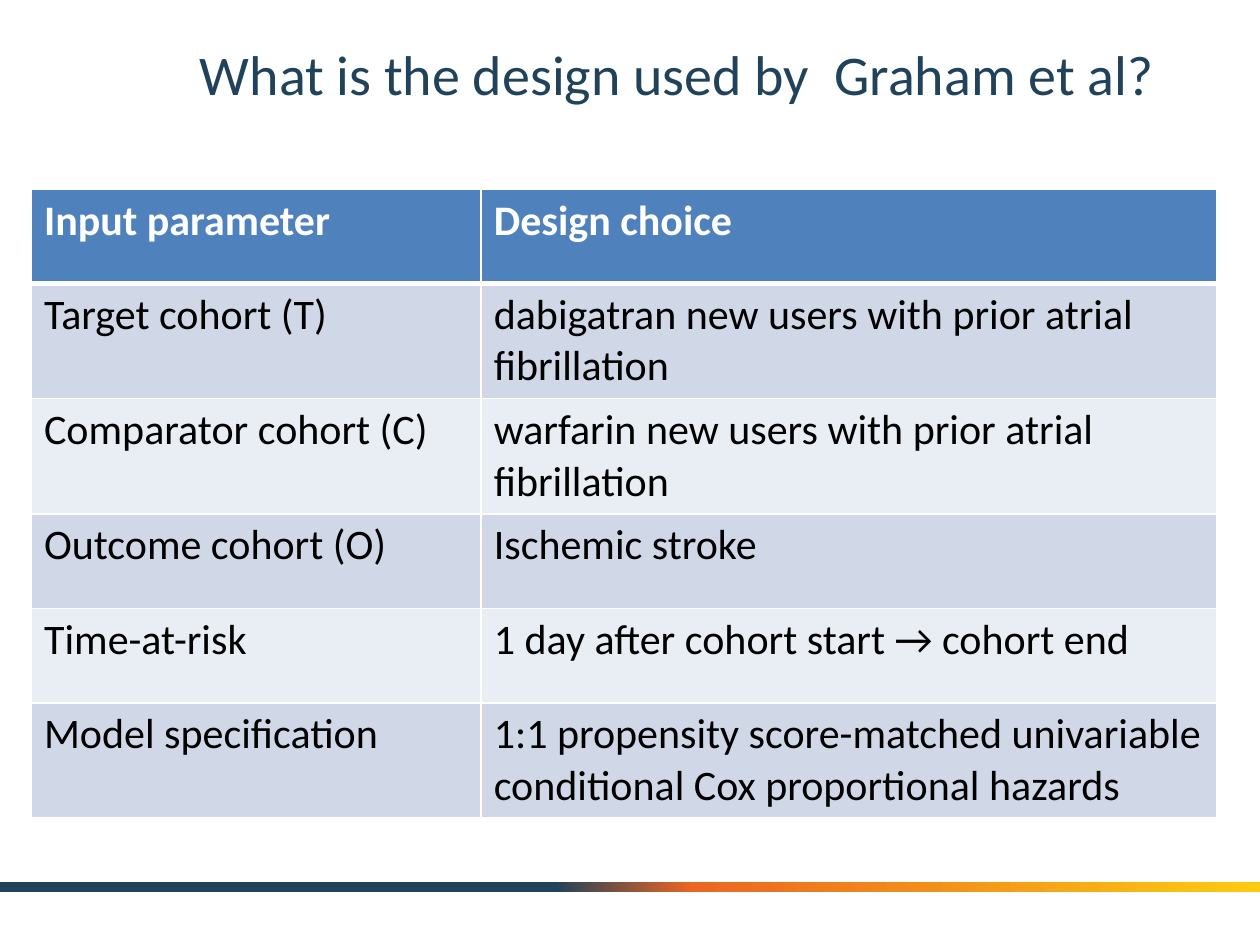
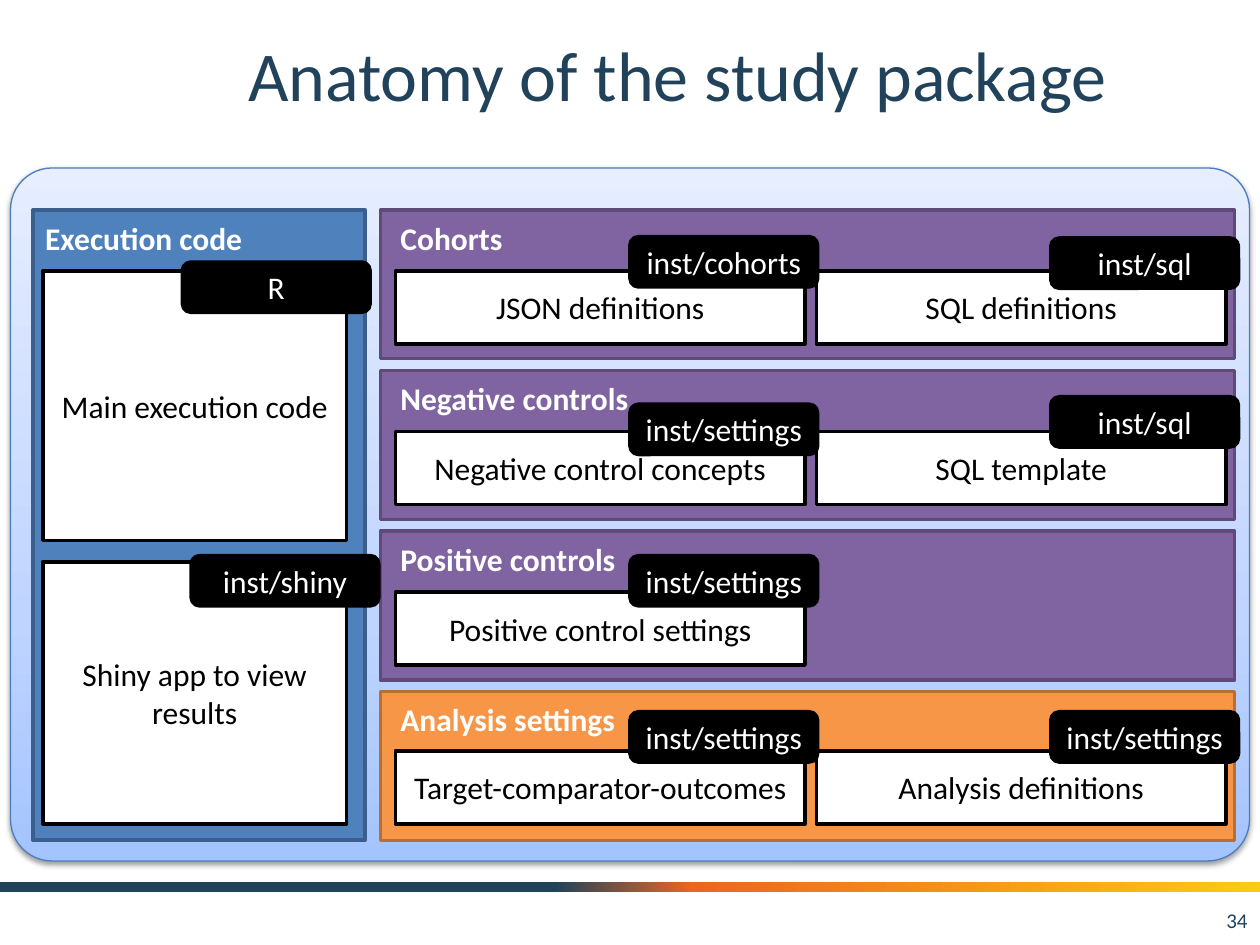
from dataclasses import dataclass
from typing import Any, Optional

from lxml import etree
from pptx import Presentation
from pptx.dml.color import RGBColor
from pptx.enum import shapes, text
from pptx.oxml.ns import qn
from pptx.util import Pt

FONT = "Calibri"
NAVY, WHITE, BLACK = "20425A", "FFFFFF", "000000"
BLUE, PURPLE, ORANGE = "4F81BD", "8064A2", "F79646"
ROW_FILLS = ("E9EDF4", "D0D8E8")
BAND_STOPS = ((44, NAVY), (55, "EB6622"), (100, "FCCB10"))
PACKAGE_STOPS = ((0, "A4C4FF"), (35, "BFD4FF"), (100, "E6EEFF"))
CENTER, LEFT, RIGHT = text.PP_ALIGN.CENTER, text.PP_ALIGN.LEFT, text.PP_ALIGN.RIGHT
RECT, ROUNDED = shapes.MSO_SHAPE.RECTANGLE, shapes.MSO_SHAPE.ROUNDED_RECTANGLE

SECTION_LEFT, SECTION_WIDTH, SECTION_HEIGHT = 217.5, 488, 85
FIRST_TOP, SECTION_STEP = 120, 91.75
CARD_LEFT, CARD_STEP, CARD_WIDTH, CARD_HEIGHT = 226, 240.5, 234, 41.75
TAG_WIDTH, TAG_HEIGHT = 107.25, 28.75

DESIGN = (
    ("Input parameter", "Design choice"),
    ("Target cohort (T)", "dabigatran new users with prior atrial fibrillation"),
    ("Comparator cohort (C)", "warfarin new users with prior atrial fibrillation"),
    ("Outcome cohort (O)", "Ischemic stroke"),
    ("Time-at-risk", "1 day after cohort start → cohort end"),
    ("Model specification",
     "1:1 propensity score-matched univariable conditional Cox proportional hazards"),
)


@dataclass(frozen=True)
class Box:
    left: float
    top: float
    width: float
    height: float

    def lengths(self) -> tuple:
        return tuple(Pt(v) for v in (self.left, self.top, self.width, self.height))


@dataclass(frozen=True)
class Card:
    label: str
    folder: str
    tag_top: float


@dataclass(frozen=True)
class Section:
    heading: str
    fill: str
    edge: str
    cards: tuple[Card, ...]
    card_drop: float = 34.75


@dataclass(frozen=True)
class CodeCard:
    label: str
    folder: str
    box: Box
    tag_left: float
    tag_top: float


SECTIONS = (
    Section("Cohorts", PURPLE, "5F4A78", (
        Card("JSON definitions", "inst/cohorts", 135.25),
        Card("SQL definitions", "inst/sql", 136))),
    Section("Negative controls", PURPLE, "5F4A78", (
        Card("Negative control concepts", "inst/settings", 231),
        Card("SQL template", "inst/sql", 226.75))),
    Section("Positive controls", PURPLE, "5F4A78", (
        Card("Positive control settings", "inst/settings", 317.5),)),
    Section("Analysis settings", ORANGE, "B76F34", (
        Card("Target-comparator-outcomes", "inst/settings", 406.75),
        Card("Analysis definitions", "inst/settings", 406.75)), 33.75),
)
CODE_CARDS = (
    CodeCard("Main execution code", "R", Box(24.5, 154.75, 173.5, 154), 104.25, 149.75),
    CodeCard("Shiny app to view results", "inst/shiny",
             Box(24.5, 321, 173.5, 149.75), 109.25, 317.5),
)


def rgb(value: str) -> RGBColor:
    return RGBColor.from_string(value)


def write(frame: Any, words: str, size: float, color: str, bold: bool = False,
          align: Any = CENTER, anchor: Any = text.MSO_ANCHOR.MIDDLE) -> None:
    frame.text = words
    frame.word_wrap = True
    frame.vertical_anchor = anchor
    paragraph = frame.paragraphs[0]
    paragraph.alignment = align
    font = paragraph.runs[0].font
    for name, value in {"name": FONT, "size": Pt(size), "bold": bold}.items():
        setattr(font, name, value)
    font.color.rgb = rgb(color)


def draw(slide: Any, box: Box, kind: Any = RECT, fill: Optional[str] = None,
         edge: Optional[str] = None, weight: float = 2) -> Any:
    shape = slide.shapes.add_shape(kind, *box.lengths())
    shape.shadow.inherit = False
    if fill:
        shape.fill.solid()
        shape.fill.fore_color.rgb = rgb(fill)
    if edge:
        shape.line.color.rgb = rgb(edge)
        shape.line.width = Pt(weight)
    else:
        shape.line.fill.background()
    return shape


def add_color(parent: Any, color: str) -> Any:
    return etree.SubElement(parent, qn("a:srgbClr"), val=color)


def blend(shape: Any, stops: tuple, angle: float) -> None:
    shape.fill.gradient()
    shape.fill.gradient_angle = angle
    stop_list = shape.element.spPr.find(qn("a:gradFill")).find(qn("a:gsLst"))
    for old in list(stop_list):
        stop_list.remove(old)
    for position, color in stops:
        add_color(etree.SubElement(stop_list, qn("a:gs"), pos=str(position * 1000)), color)


def cast_shadow(shape: Any) -> None:
    effects = shape.element.spPr.find(qn("a:effectLst"))
    shadow = etree.SubElement(effects, qn("a:outerShdw"), blurRad=str(Pt(3.1)),
                              dist=str(Pt(1.6)), dir="5400000", rotWithShape="0")
    etree.SubElement(add_color(shadow, BLACK), qn("a:alpha"), val="38000")


def write_text(slide: Any, box: Box, words: str, *style: Any, **options: Any) -> None:
    write(slide.shapes.add_textbox(*box.lengths()).text_frame, words, *style, **options)


def new_slide(prs: Any, title: str, size: float) -> Any:
    slide = prs.slides.add_slide(prs.slide_layouts[5])
    heading = slide.shapes.title
    names = ("left", "top", "width", "height")
    for name, value in zip(names, Box(90, 12.25, 594, 59.5).lengths()):
        setattr(heading, name, value)
    write(heading.text_frame, title, size, NAVY)
    return slide


def add_master_band(prs: Any, slide: Any) -> None:
    band = draw(slide, Box(0, 504, 720, 5.75))
    blend(band, BAND_STOPS, 0)
    band.element.nvSpPr.cNvPr.set("id", "20")
    prs.slide_master.shapes.element.append(band.element)


def border(cell: Any, edges: dict[str, float]) -> None:
    properties = cell._tc.get_or_add_tcPr()
    for edge, weight in edges.items():
        line = etree.SubElement(properties, qn(f"a:{edge}"), w=str(Pt(weight)))
        add_color(etree.SubElement(line, qn("a:solidFill")), WHITE)


def add_design_table(slide: Any) -> None:
    box = Box(18, 108, 677.5, 324)
    table = slide.shapes.add_table(len(DESIGN), 2, *box.lengths()).table
    for column, width in zip(table.columns, (257, 420.5)):
        column.width = Pt(width)
    for r, row in enumerate(DESIGN):
        header = r == 0
        for c, words in enumerate(row):
            cell = table.cell(r, c)
            border(cell, {"lnL": 1, "lnR": 1, "lnT": 3 if r == 1 else 1,
                          "lnB": 3 if header else 1})
            cell.fill.solid()
            cell.fill.fore_color.rgb = rgb(BLUE if header else ROW_FILLS[r % 2])
            write(cell.text_frame, words, 24, WHITE if header else BLACK, header,
                  LEFT, text.MSO_ANCHOR.TOP)


def add_heading(slide: Any, left: float, top: float, words: str) -> None:
    write_text(slide, Box(left, top + 1.5, 180, 29), words, 18, WHITE, bold=True,
               align=LEFT, anchor=text.MSO_ANCHOR.TOP)


def add_card(slide: Any, box: Box, label: str) -> None:
    write(draw(slide, box, RECT, WHITE, BLACK).text_frame, label, 18, BLACK)


def add_tag(slide: Any, left: float, top: float, folder: str) -> None:
    box = Box(left, top, TAG_WIDTH, TAG_HEIGHT)
    write(draw(slide, box, ROUNDED, BLACK, BLACK).text_frame, folder, 18, WHITE)


def add_section(slide: Any, section: Section, top: float) -> None:
    draw(slide, Box(SECTION_LEFT, top, SECTION_WIDTH, SECTION_HEIGHT), RECT,
         section.fill, section.edge)
    add_heading(slide, 221.75, top, section.heading)
    lefts = [CARD_LEFT + CARD_STEP * i for i in range(len(section.cards))]
    for left, card in zip(lefts, section.cards):
        add_card(slide, Box(left, top + section.card_drop, CARD_WIDTH, CARD_HEIGHT),
                 card.label)
    for left, card in zip(lefts, section.cards):
        add_tag(slide, left + 134, card.tag_top, card.folder)


def add_execution_code(slide: Any) -> None:
    draw(slide, Box(18.75, FIRST_TOP, 190, 360), RECT, BLUE, "3A5F8C")
    add_heading(slide, 18.75, FIRST_TOP, "Execution code")
    for card in CODE_CARDS:
        add_card(slide, card.box, card.label)


def add_study_package(slide: Any) -> None:
    backdrop = draw(slide, Box(6, 96, 708, 396), ROUNDED, edge="4B7EBC", weight=0.75)
    backdrop.adjustments[0] = 0.06
    blend(backdrop, PACKAGE_STOPS, 90)
    cast_shadow(backdrop)
    add_execution_code(slide)
    for i, section in enumerate(SECTIONS):
        add_section(slide, section, FIRST_TOP + SECTION_STEP * i)
    for card in CODE_CARDS:
        add_tag(slide, card.tag_left, card.tag_top, card.folder)


def main() -> None:
    prs = Presentation()
    prs.slide_width, prs.slide_height = Pt(720), Pt(540)
    design = new_slide(prs, "What is the design used by  Graham et al?", 32)
    add_master_band(prs, design)
    add_design_table(design)
    anatomy = new_slide(prs, "Anatomy of the study package", 40)
    add_study_package(anatomy)
    write_text(anatomy, Box(552, 511.25, 168, 28.75), "34", 12, NAVY, align=RIGHT)
    prs.save("out.pptx")


if __name__ == "__main__":
    main()
